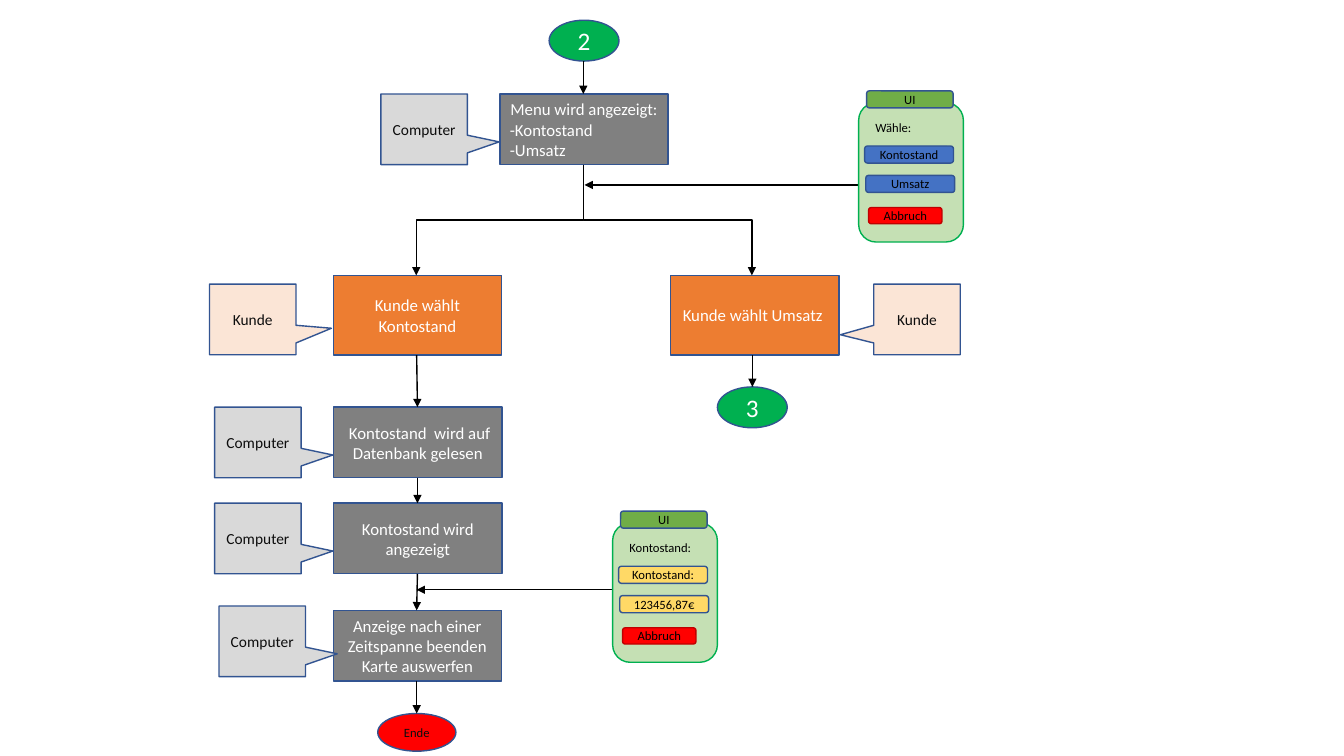
from lxml import etree
from pptx import Presentation
from pptx.dml.color import RGBColor
from pptx.enum import shapes, text
from pptx.oxml.ns import qn
from pptx.util import Cm, Pt

HUE = {
    "edge": "325491", "white": "FFFFFF", "ink": "0D0D0D", "black": "000000",
    "step": "808080", "choice": "ED7D31", "host": "D9D9D9", "client": "FBE5D6",
    "green": "00B050", "panel": "C5E0B4", "tab": "70AD47", "blue": "4472C4",
    "gold": "FFD966", "red": "FF0000", "dark": "C00000",
}
KIND = shapes.MSO_SHAPE
WIRE = shapes.MSO_CONNECTOR

deck = Presentation()
deck.slide_width, deck.slide_height = Cm(33.87), Cm(19.05)
slide = deck.slides.add_slide(deck.slide_layouts[6])


def put(kind, box, words, size, fill, ink="black", edge="edge"):
    """Add a filled shape, or a plain text box when kind is None."""
    place = [Cm(n) for n in box]
    if kind is None:
        item = slide.shapes.add_textbox(*place)
    else:
        item = slide.shapes.add_shape(kind, *place)
        item.shadow.inherit = False
        item.fill.solid()
        item.fill.fore_color.rgb = RGBColor.from_string(HUE[fill])
        item.line.color.rgb = RGBColor.from_string(HUE[edge])
        item.line.width = Pt(1)
        item.text_frame.vertical_anchor = text.MSO_ANCHOR.MIDDLE
    frame = item.text_frame
    frame.word_wrap = True
    frame.text = words
    for para in frame.paragraphs:
        para.alignment = text.PP_ALIGN.CENTER if kind else text.PP_ALIGN.LEFT
        for run in para.runs:
            run.font.name = "Calibri"
            run.font.size = Pt(size)
            run.font.color.rgb = RGBColor.from_string(HUE[ink])
    return item


def link(kind, x1, y1, x2, y2):
    """Add a black connector with an arrowhead at its end."""
    wire = slide.shapes.add_connector(kind, Cm(x1), Cm(y1), Cm(x2), Cm(y2))
    wire.line.color.rgb = RGBColor.from_string(HUE["black"])
    wire.line.width = Pt(1)
    etree.SubElement(wire.line._get_or_add_ln(), qn("a:tailEnd"), type="triangle")
    etree.SubElement(wire._element.spPr, qn("a:effectLst"))
    return wire


# Process boxes: left, top, height, fill, words
steps = [
    (12.6, 2.37, 1.78, "step", "Menu wird angezeigt:\n-Kontostand \n-Umsatz"),
    (8.4, 6.94, 2.01, "choice", "Kunde wählt Kontostand"),
    (16.9, 6.94, 2.01, "choice", "Kunde wählt Umsatz "),
    (8.41, 10.26, 1.78, "step", " Kontostand  wird auf Datenbank gelesen"),
    (8.41, 12.68, 1.78, "step", "Kontostand wird angezeigt"),
    (8.4, 15.38, 1.78, "step",
     "Anzeige nach einer Zeitspanne beenden Karte auswerfen"),
]
for x, y, high, fill, words in steps:
    box = put(KIND.FLOWCHART_PROCESS, (x, y, 4.24, high), words, 12, fill, "white")
    for para in box.text_frame.paragraphs[1:]:
        para.alignment = text.PP_ALIGN.LEFT

# Callouts naming the actor: left, top, words, fill, pointer tip
actors = [
    (9.6, 2.37, "Computer", "host", (0.867, 0.178)),
    (5.28, 7.16, "Kunde", "client", (0.91, 0.125)),
    (22.02, 7.16, "Kunde", "client", (-0.886, 0.217)),
    (5.41, 10.26, "Computer", "host", (0.867, 0.178)),
    (5.41, 12.68, "Computer", "host", (0.867, 0.178)),
    (5.52, 15.27, "Computer", "host", (0.867, 0.178)),
]
for x, y, words, fill, tip in actors:
    note = put(KIND.RECTANGULAR_CALLOUT, (x, y, 2.18, 1.78), words, 11, fill, "ink")
    note.adjustments[0], note.adjustments[1] = tip

# Entry, jump and end points
put(KIND.OVAL, (13.84, 0.51, 1.76, 1.03), "2", 18, "green", "white")
put(KIND.OVAL, (18.08, 9.75, 1.76, 1.03), "3", 18, "green", "white")
put(KIND.OVAL, (9.52, 17.98, 1.97, 0.95), "Ende", 9, "red", "ink")

# Straight arrows
arrows = [
    (14.7, 1.54, 14.7, 2.37), (10.5, 8.95, 10.52, 10.26),
    (10.52, 12.04, 10.52, 12.68), (10.52, 14.46, 10.5, 15.38),
    (10.5, 17.16, 10.5, 17.98), (18.96, 8.95, 18.96, 9.75),
    (21.64, 4.66, 14.73, 4.66), (15.44, 14.86, 10.5, 14.86),
]
for ends in arrows:
    link(WIRE.STRAIGHT, *ends)

# Branches: elbows turned a quarter so they leave the menu downwards
fork, top, drop = 14.7, 4.15, 2.79
for goal, turn, flip in [(10.49, 90, "0"), (18.95, 270, "1")]:
    mid, span = (fork + goal) / 2, abs(goal - fork)
    high = top + drop / 2
    elbow = link(WIRE.ELBOW, mid - drop / 2, high - span / 2,
                 mid + drop / 2, high + span / 2)
    frame = elbow._element.spPr.find(qn("a:xfrm"))
    frame.set("rot", str(turn * 60000))
    frame.set("flipH", flip)

# Screen panels: left, top, label, button fill, buttons
panels = [
    (21.64, 2.59, "Wähle:", "blue", ("Kontostand", "Umsatz")),
    (15.44, 13.18, "Kontostand:", "gold", ("Kontostand:", "123456,87€")),
]
ROUND = KIND.ROUNDED_RECTANGLE
for x, y, label, fill, names in panels:
    put(ROUND, (x, y, 2.64, 3.51), "", 9, "panel", edge="green")
    put(ROUND, (x + 0.2, y - 0.3, 2.18, 0.43), "UI", 9, "tab")
    put(None, (x + 0.17, y + 0.3, 2.13, 0.64), label, 9, None)
    for i, name in enumerate(names):
        put(ROUND, (x + 0.15 + 0.03 * i, y + 1.09 + 0.74 * i, 2.24, 0.43),
            name, 9, fill)
    put(ROUND, (x + 0.25, y + 2.64, 1.85, 0.41), "Abbruch", 9, "red", edge="dark")

deck.save("out.pptx")
